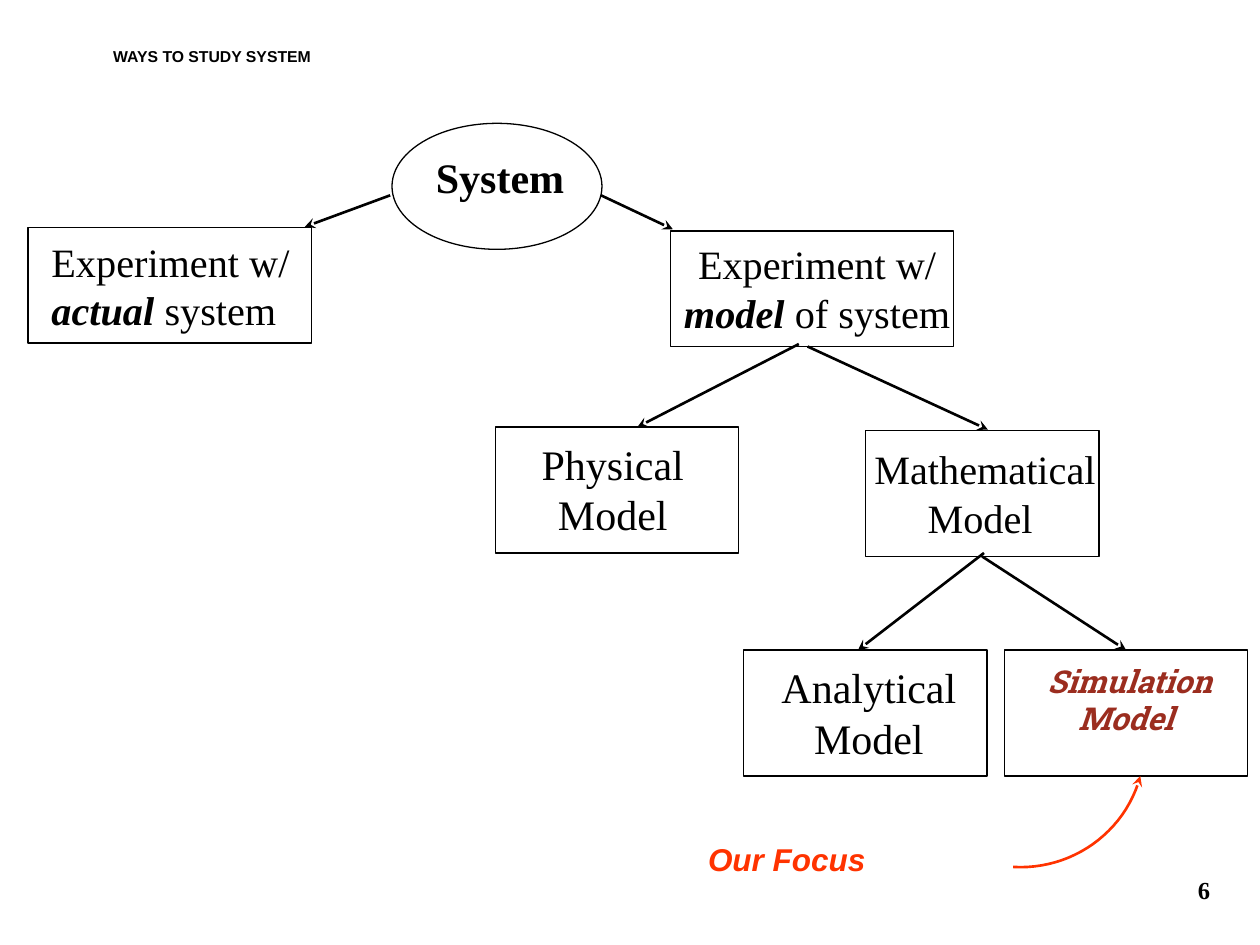
import pptx
import pptx.util
import pptx.dml.color
import pptx.enum.shapes
import pptx.enum.text
import pptx.oxml
import pptx.oxml.ns

Pt = pptx.util.Pt
SHAPES = pptx.enum.shapes.MSO_SHAPE
ALIGN = pptx.enum.text.PP_ALIGN
ANCHOR = pptx.enum.text.MSO_ANCHOR

COLORS = {"ink": "000000", "focus": "FF3300", "simulation": "9B2D1F"}
SERIF = "Times New Roman"
TOP, BOTTOM = 0, 2


def rgb(name):
    return pptx.dml.color.RGBColor.from_string(COLORS[name])


def add_outline(slide, kind, left, top, width, height):
    """Unfilled node outline."""
    node = slide.shapes.add_shape(kind, Pt(left), Pt(top), Pt(width), Pt(height))
    node.shadow.inherit = False
    node.fill.background()
    node.line.color.rgb = rgb("ink")
    node.line.width = Pt(0.75)
    return node


def add_label(slide, box, lines, size, font=SERIF, color="ink", align=ALIGN.CENTER,
              wrap=False, anchor=ANCHOR.TOP):
    """Text box; each line is a list of (text, bold, italic) runs."""
    label = slide.shapes.add_textbox(*(Pt(length) for length in box))
    frame = label.text_frame
    frame.word_wrap = wrap
    frame.vertical_anchor = anchor
    for index, runs in enumerate(lines):
        paragraph = frame.paragraphs[0] if index == 0 else frame.add_paragraph()
        paragraph.alignment = align
        for text, bold, italic in runs:
            run = paragraph.add_run()
            run.text = text
            run.font.name = font
            run.font.size = Pt(size)
            run.font.bold = bold
            run.font.italic = italic
            run.font.color.rgb = rgb(color)
    return label


def style_stroke(stroke, color, arrow_end):
    """Line colour and width, with a stealth arrowhead at headEnd or tailEnd."""
    stroke.line.color.rgb = rgb(color)
    stroke.line.width = Pt(1.5)
    arrow = pptx.oxml.ns.qn("a:" + arrow_end)
    stroke.line._get_or_add_ln().append(
        pptx.oxml.parse_xml(f'<a:{arrow_end} {pptx.oxml.ns.nsdecls("a")} type="stealth"/>')
        if arrow else None)


def add_arrow(slide, start, end, parent=None, child=None):
    """Straight arrow, joined to the parent's bottom and the child's top if given."""
    arrow = slide.shapes.add_connector(
        pptx.enum.shapes.MSO_CONNECTOR.STRAIGHT, *(Pt(v) for v in start + end))
    style_stroke(arrow, "ink", "tailEnd")
    arrow._element.spPr.append(
        pptx.oxml.parse_xml(f'<a:effectLst {pptx.oxml.ns.nsdecls("a")}/>'))
    if parent is not None:
        arrow.begin_connect(parent, BOTTOM)
    if child is not None:
        arrow.end_connect(child, TOP)


def add_curved_arrow(slide, controls, steps=24):
    """Cubic curve whose arrowhead sits at the first control point."""
    def point(t):
        weights = ((1 - t) ** 3, 3 * t * (1 - t) ** 2, 3 * t * t * (1 - t), t ** 3)
        return tuple(Pt(sum(w * c[axis] for w, c in zip(weights, controls)))
                     for axis in (0, 1))

    builder = slide.shapes.build_freeform(*point(0))
    builder.add_line_segments([point(i / steps) for i in range(1, steps + 1)], close=False)
    curve = builder.convert_to_shape()
    curve.shadow.inherit = False
    curve.fill.background()
    style_stroke(curve, "focus", "headEnd")


def main():
    deck = pptx.Presentation()
    deck.slide_width, deck.slide_height = Pt(720), Pt(540)
    slide = deck.slides.add_slide(deck.slide_layouts[6])

    # Title and page number
    add_label(slide, (57.6, 0, 612, 64.8), [[("WAYS TO STUDY SYSTEM", True, False)]], 9,
              font="Arial", align=ALIGN.LEFT, wrap=True, anchor=ANCHOR.MIDDLE)
    add_label(slide, (669, 494, 38, 29), [[("6", True, False)]], 14,
              wrap=True, anchor=ANCHOR.MIDDLE)

    # Root
    add_outline(slide, SHAPES.OVAL, 224, 70.5, 120, 72)
    add_label(slide, (242, 83, 88, 36), [[("System", True, False)]], 24, align=ALIGN.LEFT)

    # Ways to experiment
    experiments = (
        ((16, 130, 162, 66), (22.3, 131.8, 168, 62), "actual", " system", ALIGN.LEFT),
        ((383, 132, 162, 66), (383, 133.4, 168, 62), "model", " of system", ALIGN.CENTER),
    )
    for outline, text_box, subject, rest, align in experiments:
        add_outline(slide, SHAPES.RECTANGLE, *outline)
        add_label(slide, text_box, [[("Experiment w/ ", False, False),
                                     (subject, True, True), (rest, False, False)]],
                  23, align=align, wrap=True)

    # Kinds of model
    models = (
        ((283, 244, 139, 72), (302.4, 247, 101.5, 65), ("Physical ", "Model "), 24),
        ((494.5, 246, 133.5, 72), (492.5, 250.5, 141, 62), ("Mathematical", "Model "), 23),
        ((425, 371.5, 139, 72), (436.5, 374.5, 120, 65), ("Analytical ", "Model"), 24),
    )
    nodes = []
    for outline, text_box, words, size in models:
        nodes.append(add_outline(slide, SHAPES.RECTANGLE, *outline))
        add_label(slide, text_box, [[(word, False, False)] for word in words], size)
    mathematical = nodes[1]

    # Simulation model, the focus
    simulation = add_outline(slide, SHAPES.RECTANGLE, 574, 371.5, 139, 72)
    add_label(slide, (589, 374.5, 113, 50.5),
              [[(word, True, True)] for word in ("Simulation", "Model ")],
              18, font="Roboto Slab", color="simulation")
    add_label(slide, (397.5, 476.6, 104.5, 29), [[("Our Focus", True, True)]], 18,
              font="Arial", color="focus", align=ALIGN.LEFT)
    add_curved_arrow(slide, ((651.6, 443.5), (643, 476), (612, 497.5), (578.9, 495.4)))

    # Branches
    add_arrow(slide, (223, 111.6), (174.2, 129.6))
    add_arrow(slide, (343.4, 111.6), (384.5, 131))
    add_arrow(slide, (456.5, 196.6), (364.3, 244))
    add_arrow(slide, (461.5, 198), (564.5, 245.5))
    add_arrow(slide, (562.3, 316), (490.3, 371.5))
    add_arrow(slide, (561.6, 318), (644.4, 370), mathematical, simulation)

    deck.save("out.pptx")


if __name__ == "__main__":
    main()
